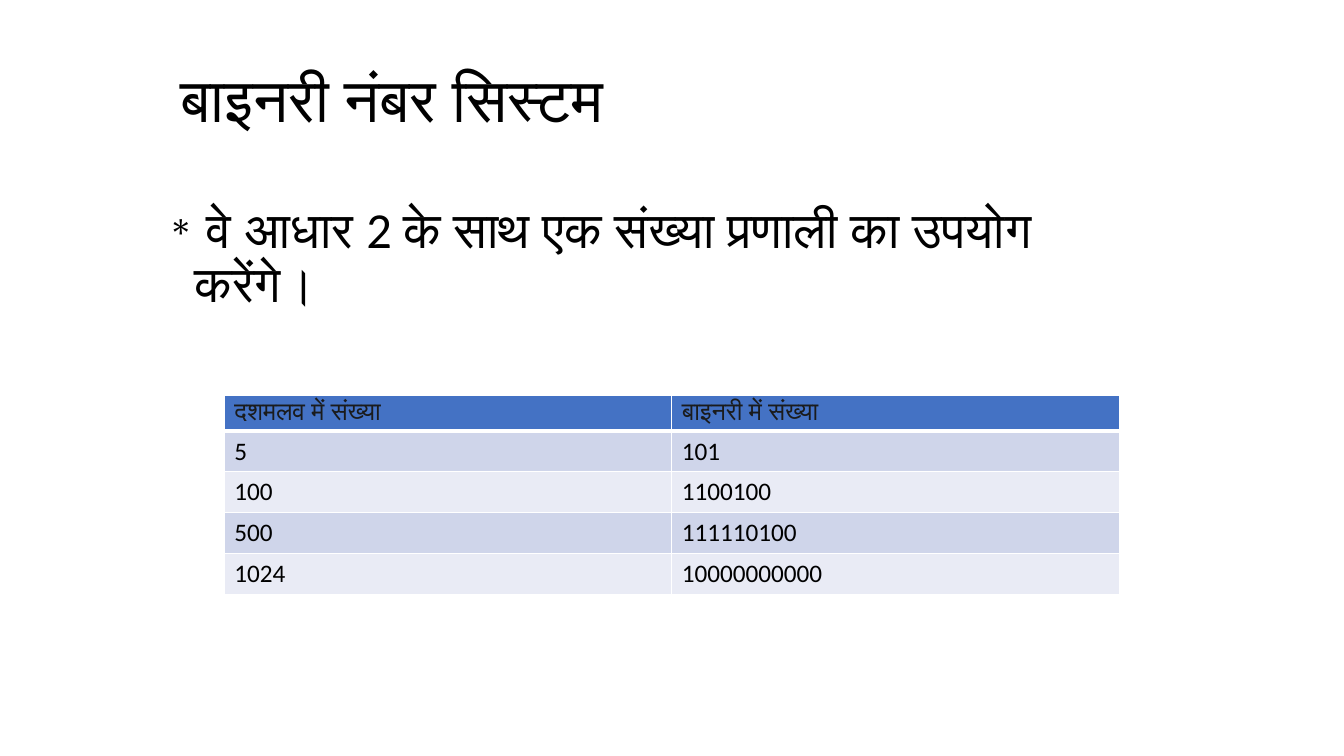
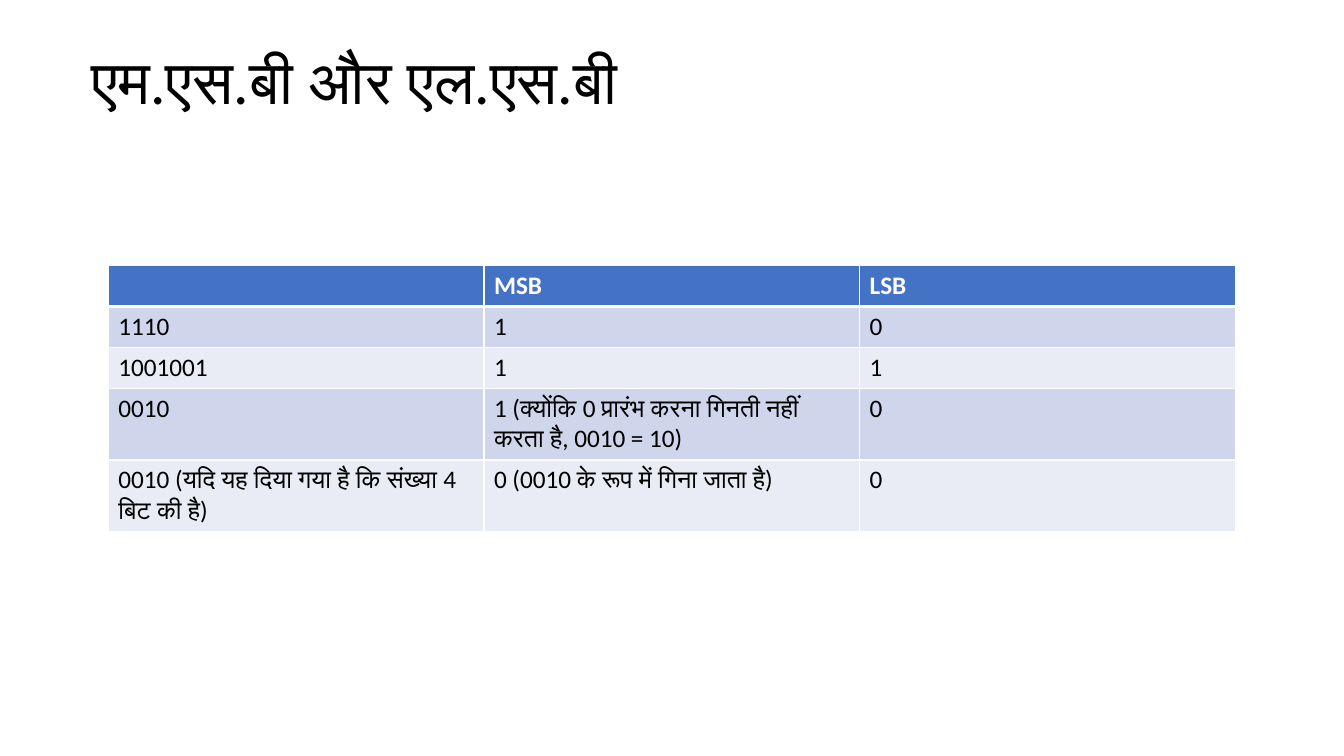
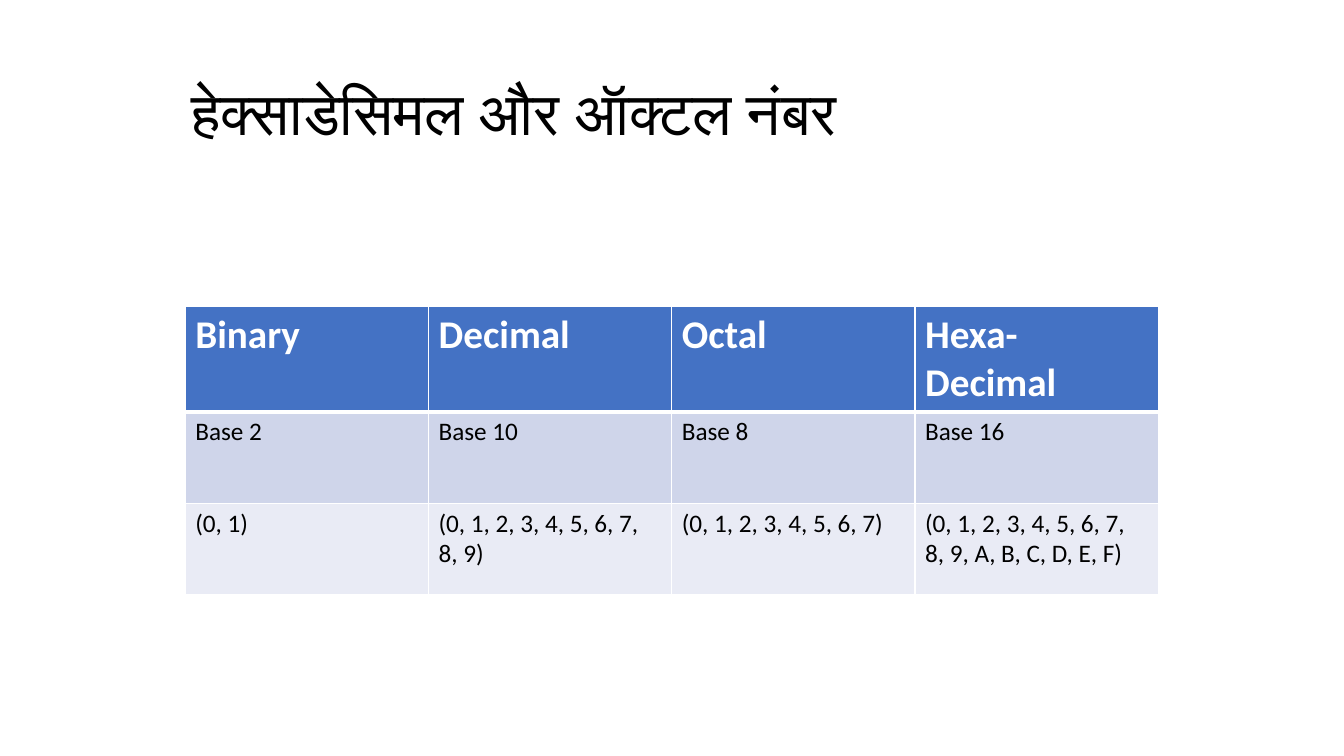
from lxml import etree
from pptx import Presentation
from pptx import util as u
from pptx.dml.color import RGBColor
from pptx.enum import text
from pptx.oxml import ns

BLACK = RGBColor(0x00, 0x00, 0x00)
INK = RGBColor(0x1A, 0x1B, 0x1C)
WHITE = RGBColor(0xFF, 0xFF, 0xFF)
HEADER_BLUE = RGBColor(0x44, 0x72, 0xC4)
BANDS = (RGBColor(0xCF, 0xD5, 0xEA), RGBColor(0xE9, 0xEB, 0xF5))
BODY_FONT = "Calibri"
BODY_SIZE = 18
TITLE_WIDTH, TITLE_HEIGHT = 20.6, 2.59


def style_text(paragraph, size, color=BLACK, bold=False, font=BODY_FONT):
    """Give every run of the paragraph one font, size and colour."""
    for run in paragraph.runs:
        run.font.name = font
        run.font.size = u.Pt(size)
        run.font.bold = bold
        run.font.color.rgb = color


def add_text(slide, box, wording, size, anchor):
    """Add a wrapping text box without margins and return its paragraph."""
    frame = slide.shapes.add_textbox(*map(u.Cm, box)).text_frame
    frame.word_wrap = True
    frame.vertical_anchor = anchor
    frame.margin_left = frame.margin_right = 0
    frame.margin_top = frame.margin_bottom = 0
    frame.text = wording
    paragraph = frame.paragraphs[0]
    paragraph.line_spacing = 0.9
    style_text(paragraph, size)
    return paragraph


def add_title(slide, left, top, wording, size=44):
    """Place the slide title with its top left corner at the given point."""
    box = (left, top, TITLE_WIDTH, TITLE_HEIGHT)
    add_text(slide, box, wording, size, text.MSO_ANCHOR.MIDDLE)


def add_bullet(slide, box, wording):
    """Place one large bulleted statement in the box."""
    paragraph = add_text(slide, box, wording, 36, text.MSO_ANCHOR.TOP)
    paragraph.space_after = u.Pt(14.1)
    properties = paragraph._p.get_or_add_pPr()
    properties.set("marL", str(u.Cm(1.19)))
    properties.set("indent", str(u.Cm(-0.66)))
    etree.SubElement(properties, ns.qn("a:buSzPct")).set("val", "70000")
    etree.SubElement(properties, ns.qn("a:buChar")).set("char", "∗")


def set_borders(cell, top, bottom):
    """Draw white cell borders, with the top and bottom widths in points."""
    properties = cell._tc.get_or_add_tcPr()
    for side, width in (("L", 1), ("R", 1), ("T", top), ("B", bottom)):
        line = etree.SubElement(properties, ns.qn(f"a:ln{side}"), w=str(u.Pt(width)))
        fill = etree.SubElement(line, ns.qn("a:solidFill"))
        etree.SubElement(fill, ns.qn("a:srgbClr"), val=str(WHITE))


def add_banded_table(slide, left, top, width, heights, rows, header, header_bottom=0.13):
    """Build a table with equal columns, a blue header and banded rows."""
    columns = len(rows[0])
    box = (left, top, width, sum(heights))
    table = slide.shapes.add_table(len(rows), columns, *map(u.Cm, box)).table
    table.first_row = table.horz_banding = False
    for column in table.columns:
        column.width = u.Cm(width / columns)
    for index, (height, values) in enumerate(zip(heights, rows)):
        table.rows[index].height = u.Cm(height)
        for cell, value in zip(table.rows[index].cells, values):
            set_borders(cell, 3 if index == 1 else 1, 3 if index == 0 else 1)
            cell.fill.solid()
            cell.fill.fore_color.rgb = BANDS[(index - 1) % 2] if index else HEADER_BLUE
            cell.text = value
            paragraph = cell.text_frame.paragraphs[0]
            if index:
                style_text(paragraph, BODY_SIZE)
            else:
                style_text(paragraph, **header)
                cell.margin_bottom = u.Cm(header_bottom)


def build_binary_slide(slide):
    """Introduce base 2 with decimal and binary examples."""
    add_title(slide, 4.55, 1.3, "बाइनरी नंबर सिस्टम")
    add_bullet(slide, (3.71, 5.16, 22.38, 2.64),
               " वे आधार 2 के साथ एक संख्या प्रणाली का उपयोग करेंगे।")
    rows = [
        ("दशमलव में संख्या", "बाइनरी में संख्या"),
        ("5", "101"),
        ("100", "1100100"),
        ("500", "111110100"),
        ("1024", "10000000000"),
    ]
    header = dict(size=BODY_SIZE, color=INK, font="Times New Roman")
    add_banded_table(slide, 5.65, 9.97, 22.56, [0.88] + [1.03] * 4, rows, header, 0)


def build_bit_order_slide(slide):
    """Compare the most and least significant bits."""
    add_title(slide, 2.31, 0.83, "एम.एस.बी और एल.एस.बी")
    rows = [
        ("", "MSB", "LSB"),
        ("1110", "1", "0"),
        ("1001001", "1", "1"),
        ("0010", "1 (क्योंकि 0 प्रारंभ करना गिनती नहीं करता है, 0010 = 10)", "0"),
        ("0010 (यदि यह दिया गया है कि संख्या 4 बिट की है)",
         "0 (0010 के रूप में गिना जाता है)", "0"),
    ]
    header = dict(size=BODY_SIZE, color=WHITE, bold=True)
    add_banded_table(slide, 2.73, 6.69, 28.4, [1.03] * 3 + [1.81] * 2, rows, header)


def build_bases_slide(slide):
    """List the digits of the four number bases."""
    add_title(slide, 4.83, 1.63, "हेक्साडेसिमल और ऑक्टल नंबर", 42.9)
    rows = [
        ("Binary", "Decimal", "Octal", "Hexa-Decimal"),
        ("Base 2", "Base 10", "Base 8", "Base 16"),
        ("(0, 1)", "(0, 1, 2, 3, 4, 5, 6, 7, 8, 9)", "(0, 1, 2, 3, 4, 5, 6, 7)",
         "(0, 1, 2, 3, 4, 5, 6, 7, 8, 9, A, B, C, D, E, F)"),
    ]
    header = dict(size=28, color=WHITE, bold=True)
    add_banded_table(slide, 4.67, 7.72, 24.52, [2.66, 2.3, 2.3], rows, header)


def main():
    """Build the presentation and save it."""
    presentation = Presentation()
    presentation.slide_width = u.Cm(33.87)
    presentation.slide_height = u.Cm(19.05)
    blank = presentation.slide_layouts[6]
    for build in (build_binary_slide, build_bit_order_slide, build_bases_slide):
        build(presentation.slides.add_slide(blank))
    presentation.save("out.pptx")


main()
